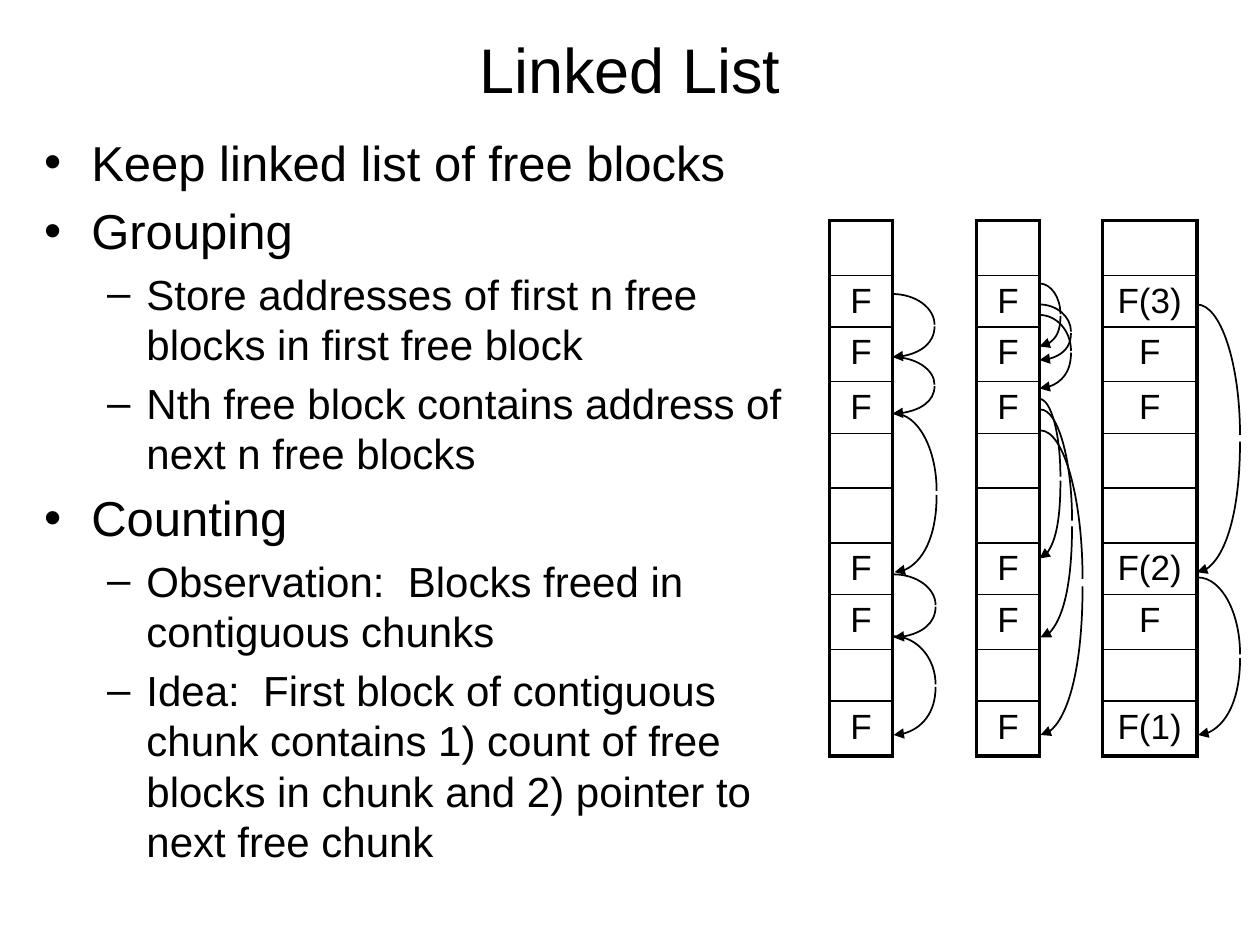
import lxml.etree
import pptx
import pptx.dml.color
import pptx.enum.text
import pptx.oxml.ns
import pptx.util

BLACK = pptx.dml.color.RGBColor(0x00, 0x00, 0x00)
WHITE = pptx.dml.color.RGBColor(0xFF, 0xFF, 0xFF)

COLUMNS, ROWS = 120, 90  # grid over the slide, twelve cells to the inch
TALL, SHORT = 5.22, 4.92  # block heights in grid rows
BLOCK_HEIGHTS = [TALL, SHORT, TALL, SHORT, TALL, TALL, SHORT, TALL, SHORT, TALL]
BLOCKS_TOP = 21
ROUND = 0.55  # handle length that makes a curve a quarter ellipse

OUTLINE = [
    (0, "Keep linked list of free blocks"),
    (0, "Grouping"),
    (1, "Store addresses of first n free blocks in first free block"),
    (1, "Nth free block contains address of next n free blocks"),
    (0, "Counting"),
    (1, "Observation:  Blocks freed in contiguous chunks"),
    (1, "Idea:  First block of contiguous chunk contains 1) count of free "
        "blocks in chunk and 2) pointer to next free chunk"),
]

FREE = ["", "F", "F", "F", "", "", "F", "F", "", "F"]
COUNTED = ["", "F(3)", "F", "F", "", "", "F(2)", "F", "", "F(1)"]

# Each list: left, width, block labels, links as (left, from row, to row, bulge)
LISTS = [
    (79, 6, FREE, [(85, 28, 34, 4), (85, 34, 39.4, 4), (85.2, 39.4, 54.5, 4),
                   (85.1, 54.7, 60.7, 4), (85.1, 60.6, 70, 4)]),
    (93, 6, FREE, [(99, 27, 33, 2), (99, 29, 34.3, 3), (99, 30, 37, 3),
                   (99, 38, 53.2, 2), (99.1, 39, 60.7, 3), (99.1, 41, 70, 4)]),
    (105, 9, COUNTED, [(114, 29, 54.5, 4.1), (114.1, 55, 70, 4)]),
]


class SlideBuilder:
    font = "Arial"
    title_size = 36
    level_sizes = (28, 24)
    block_size = 20
    thin, thick = 1, 2.25

    def __init__(self, presentation):
        self.presentation = presentation
        self.slide = presentation.slides.add_slide(presentation.slide_layouts[1])
        self.slide.background.fill.solid()
        self.slide.background.fill.fore_color.rgb = WHITE

    def point(self, column, row):
        """Turn a grid column and row into slide lengths."""
        return (round(column * self.presentation.slide_width / COLUMNS),
                round(row * self.presentation.slide_height / ROWS))

    def box(self, left, top, width, height):
        return self.point(left, top) + self.point(width, height)

    def place(self, shape, *area):
        shape.left, shape.top, shape.width, shape.height = self.box(*area)
        shape.text_frame.auto_size = pptx.enum.text.MSO_AUTO_SIZE.NONE

    def add_run(self, paragraph, text, size):
        run = paragraph.add_run()
        run.text = text
        run.font.name = self.font
        run.font.size = pptx.util.Pt(size)
        run.font.color.rgb = BLACK

    def title(self, text, *area):
        shape = self.slide.shapes.title
        self.place(shape, *area)
        shape.text_frame.vertical_anchor = pptx.enum.text.MSO_ANCHOR.MIDDLE
        paragraph = shape.text_frame.paragraphs[0]
        paragraph.alignment = pptx.enum.text.PP_ALIGN.CENTER
        self.add_run(paragraph, text, self.title_size)

    def outline(self, items, *area):
        shape = self.slide.placeholders[1]
        self.place(shape, *area)
        frame = shape.text_frame
        for index, (level, text) in enumerate(items):
            paragraph = frame.add_paragraph() if index else frame.paragraphs[0]
            paragraph.level = level
            self.add_run(paragraph, text, self.level_sizes[level])

    def border(self, cell, side, width):
        properties = cell._tc.get_or_add_tcPr()
        line = lxml.etree.SubElement(properties, pptx.oxml.ns.qn("a:ln" + side),
                                     w=str(pptx.util.Pt(width)))
        fill = lxml.etree.SubElement(line, pptx.oxml.ns.qn("a:solidFill"))
        lxml.etree.SubElement(fill, pptx.oxml.ns.qn("a:srgbClr"), val=str(BLACK))

    def blocks(self, labels, left, width):
        area = self.box(left, BLOCKS_TOP, width, sum(BLOCK_HEIGHTS))
        table = self.slide.shapes.add_table(len(labels), 1, *area).table
        table.first_row = table.horz_banding = False
        last = len(labels) - 1
        for index, (label, height) in enumerate(zip(labels, BLOCK_HEIGHTS)):
            table.rows[index].height = self.point(0, height)[1]
            cell = table.cell(index, 0)
            cell.margin_left = cell.margin_right = 0
            self.border(cell, "L", self.thick)
            self.border(cell, "R", self.thick)
            self.border(cell, "T", self.thick if index == 0 else self.thin)
            self.border(cell, "B", self.thick if index == last else self.thin)
            cell.fill.background()
            if label:
                paragraph = cell.text_frame.paragraphs[0]
                paragraph.alignment = pptx.enum.text.PP_ALIGN.CENTER
                self.add_run(paragraph, label, self.block_size)

    def curve(self, points, arrow=False):
        """Draw one curve from its start, two handles and end."""
        start, *others = [self.point(*point) for point in points]
        builder = self.slide.shapes.build_freeform(*start)
        builder.add_line_segments(others, close=False)
        shape = builder.convert_to_shape()
        properties = shape._element.spPr
        outline = properties.find(".//" + pptx.oxml.ns.qn("a:path"))
        segments = outline.findall(pptx.oxml.ns.qn("a:lnTo"))
        bezier = lxml.etree.SubElement(outline, pptx.oxml.ns.qn("a:cubicBezTo"))
        for segment in segments:
            bezier.append(segment[0])
            outline.remove(segment)
        shape.shadow.inherit = False
        shape.fill.background()
        shape.line.color.rgb = BLACK
        shape.line.width = pptx.util.Pt(self.thin)
        if arrow:
            line = properties.find(pptx.oxml.ns.qn("a:ln"))
            lxml.etree.SubElement(line, pptx.oxml.ns.qn("a:tailEnd"),
                                  type="triangle")

    def link(self, left, start, end, bulge):
        """Two quarter ellipses with a slight gap, the lower with an arrowhead."""
        height = 0.4875 * (end - start)
        right = left + bulge
        handle = left + ROUND * bulge
        upper, lower = start + height, end - height
        self.curve([(left, start), (handle, start),
                    (right, upper - ROUND * height), (right, upper)])
        self.curve([(right, lower), (right, lower + ROUND * height),
                    (handle, end), (left, end)], arrow=True)


def main():
    presentation = pptx.Presentation()
    presentation.slide_width = pptx.util.Inches(10)
    presentation.slide_height = pptx.util.Inches(7.5)
    builder = SlideBuilder(presentation)

    # Title and outline
    builder.title("Linked List", 6, 2, 108, 9)
    builder.outline(OUTLINE, 3, 12, 74, 74)

    # Block lists with their links
    for left, width, labels, links in LISTS:
        builder.blocks(labels, left, width)
        for link in links:
            builder.link(*link)

    presentation.save("out.pptx")


if __name__ == "__main__":
    main()
